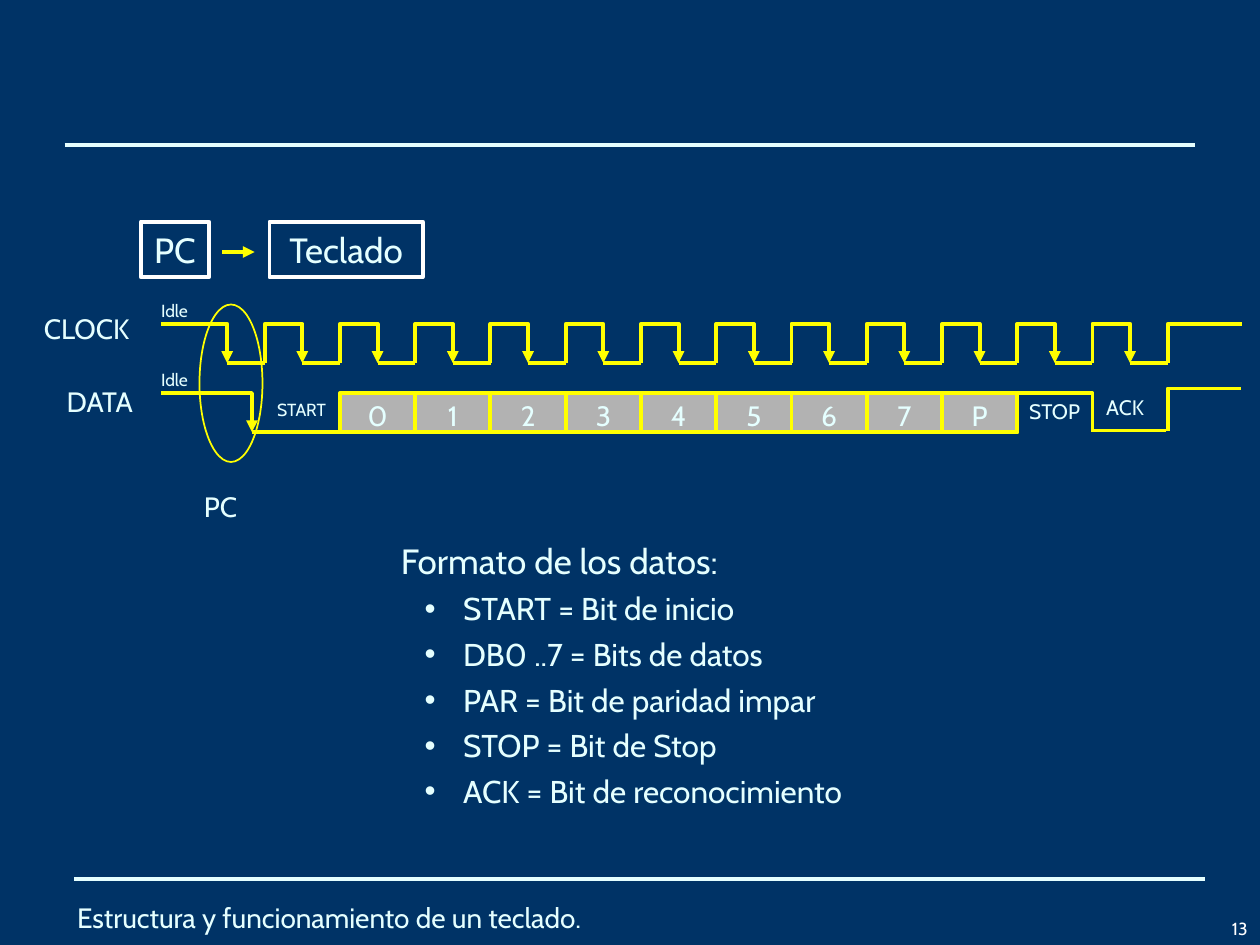
import pptx
import pptx.util
import pptx.dml.color
import pptx.enum.shapes
import pptx.enum.text
import lxml.etree

Pt = pptx.util.Pt
Rgb = pptx.dml.color.RGBColor.from_string
Kind = pptx.enum.shapes.MSO_SHAPE
Align = pptx.enum.text.PP_ALIGN
Anchor = pptx.enum.text.MSO_ANCHOR
NS = "{http://schemas.openxmlformats.org/drawingml/2006/main}"
HUE = {"back": "003366", "text": "E5FFFF", "white": "FFFFFF",
       "wave": "FFFF00", "cell": "B2B2B2"}

deck = pptx.Presentation()
deck.slide_width, deck.slide_height = Pt(720), Pt(540)
slide = deck.slides.add_slide(deck.slide_layouts[6])
slide.background.fill.solid()
slide.background.fill.fore_color.rgb = Rgb(HUE["back"])
shapes = slide.shapes


def trace(points, hue="wave", arrow=False):
    """Draw a connector through two points, or an open outline through more."""
    pts = [(Pt(x), Pt(y)) for x, y in points]
    if len(pts) == 2:
        item = shapes.add_connector(
            pptx.enum.shapes.MSO_CONNECTOR.STRAIGHT, *pts[0], *pts[1])
    else:
        pen = shapes.build_freeform(*pts[0], scale=1.0)
        pen.add_line_segments(pts[1:], close=False)
        item = pen.convert_to_shape()
        item.fill.background()
    item.line.color.rgb = Rgb(HUE[hue])
    item.line.width = Pt(2.25)
    if arrow:
        line = item.line._get_or_add_ln()
        lxml.etree.SubElement(line, NS + "tailEnd", type="triangle")
    lxml.etree.SubElement(item._element.spPr, NS + "effectLst")


def write(shape, text, size, align=Align.LEFT, hue="text", wrap=False):
    """Fill a shape with text, one paragraph a line."""
    frame = shape.text_frame
    frame.text = text
    frame.word_wrap = wrap
    frame.vertical_anchor = Anchor.MIDDLE
    for par in frame.paragraphs:
        par.alignment = align
        par.font.name = "Cabin"
        par.font.size = Pt(size)
        par.font.color.rgb = Rgb(HUE[hue])
    return frame


# Rules above and below the content
trace([(37, 82.8), (683, 82.8)], "text")
trace([(42.5, 502.5), (688.5, 502.5)], "text")

# Direction of the transfer
for name, left, width in [("PC", 80.5, 39), ("Teclado", 154, 87.5)]:
    box = shapes.add_shape(Kind.RECTANGLE, Pt(left), Pt(126.7), Pt(width), Pt(31.7))
    box.shadow.inherit = False
    box.fill.background()
    box.line.color.rgb = Rgb(HUE["white"])
    box.line.width = Pt(2.25)
    write(box, name, 20, Align.CENTER)
trace([(127, 144), (145.5, 144)], arrow=True)

# Timing grid: one bit every 43 points
step, first, count = 43, 151.3, 12
half = step / 2
last = first + count * step
high, low = 185.1, 207.4
top, base = 224.6, 246.9

# Data bits
for i, bit in enumerate("01234567P", 1):
    cell = shapes.add_shape(Kind.RECTANGLE, Pt(first + i * step), Pt(top),
                            Pt(step), Pt(base - top))
    cell.shadow.inherit = False
    cell.fill.solid()
    cell.fill.fore_color.rgb = Rgb(HUE["cell"])
    cell.line.color.rgb = Rgb(HUE["wave"])
    cell.line.width = Pt(2.25)
    frame = write(cell, bit, 16, Align.CENTER)
    frame.margin_top, frame.margin_bottom = Pt(3), Pt(0)

# Data line
stop = first + 10 * step
ack = stop + step
trace([(92, top), (144, top), (144, base)], arrow=True)
trace([(144, base), (stop, base), (stop, top), (ack, top), (ack, base)])
trace([(ack, 246), (666, 246)])
trace([(last, 246), (last, 222), (709, 222)])

# Clock line
trace([(92, high), (first - half, high), (first - half, low)], arrow=True)
trace([(first - half, low), (first, low)])
for i in range(count):
    x = first + i * step
    trace([(x, low), (x, high), (x + half, high), (x + half, low)], arrow=True)
    trace([(x + half, low), (x + step, low)])
trace([(last, low), (last, high), (710, high)])

# Labels: text, left, top, width, height, size
for text, x, y, w, h, size in [
    ("CLOCK", 18, 174.2, 65, 26.6, 16),
    ("DATA", 31, 216, 55.5, 26.6, 16),
    ("STOP", 581, 224, 44, 21.6, 12),
    ("START", 151.2, 224.6, 43, 19.4, 10),
    ("ACK", 625, 222, 36.7, 21.6, 12),
    ("Idle", 85, 167.8, 31.7, 19.4, 10),
    ("Idle", 85, 207.4, 31.7, 19.4, 10),
    ("PC", 109.4, 276, 34, 26.6, 16),
]:
    write(shapes.add_textbox(Pt(x), Pt(y), Pt(w), Pt(h)), text, size)

ring = shapes.add_shape(Kind.OVAL, Pt(114), Pt(174), Pt(36), Pt(90))
ring.shadow.inherit = False
ring.fill.background()
ring.line.color.rgb = Rgb(HUE["wave"])
ring.line.width = Pt(1)

# Data format
box = shapes.add_textbox(Pt(218), Pt(304.5), Pt(301), Pt(162))
frame = box.text_frame
frame.text = "\n".join([
    "Formato de los datos:",
    "START = Bit de inicio",
    "DB0 ..7 = Bits de datos",
    "PAR = Bit de paridad impar",
    "STOP = Bit de Stop",
    "ACK = Bit de reconocimiento",
])
head, *items = frame.paragraphs
head._p.get_or_add_pPr().set("marL", str(Pt(4)))
for par in items:
    par.space_before = Pt(4.5)
    prop = par._p.get_or_add_pPr()
    prop.set("marL", str(Pt(39.5)))
    prop.set("indent", str(Pt(-22)))
    lxml.etree.SubElement(prop, NS + "buFont", typeface="Arial")
    lxml.etree.SubElement(prop, NS + "buChar", char="•")
frame.word_wrap = True
frame.vertical_anchor = Anchor.MIDDLE
for par in frame.paragraphs:
    par.font.name = "Cabin"
    par.font.size = Pt(20 if par._p is head._p else 18)
    par.font.color.rgb = Rgb(HUE["text"])

# Footer
foot = shapes.add_textbox(Pt(37), Pt(508.5), Pt(648), Pt(31.5))
write(foot, "Estructura y funcionamiento de un teclado.", 16, wrap=True)
page = shapes.add_textbox(Pt(679.7), Pt(513.4), Pt(40.3), Pt(26.6))
frame = write(page, "13", 10, Align.RIGHT, "white", True)
frame.vertical_anchor = Anchor.BOTTOM

deck.save("out.pptx")
